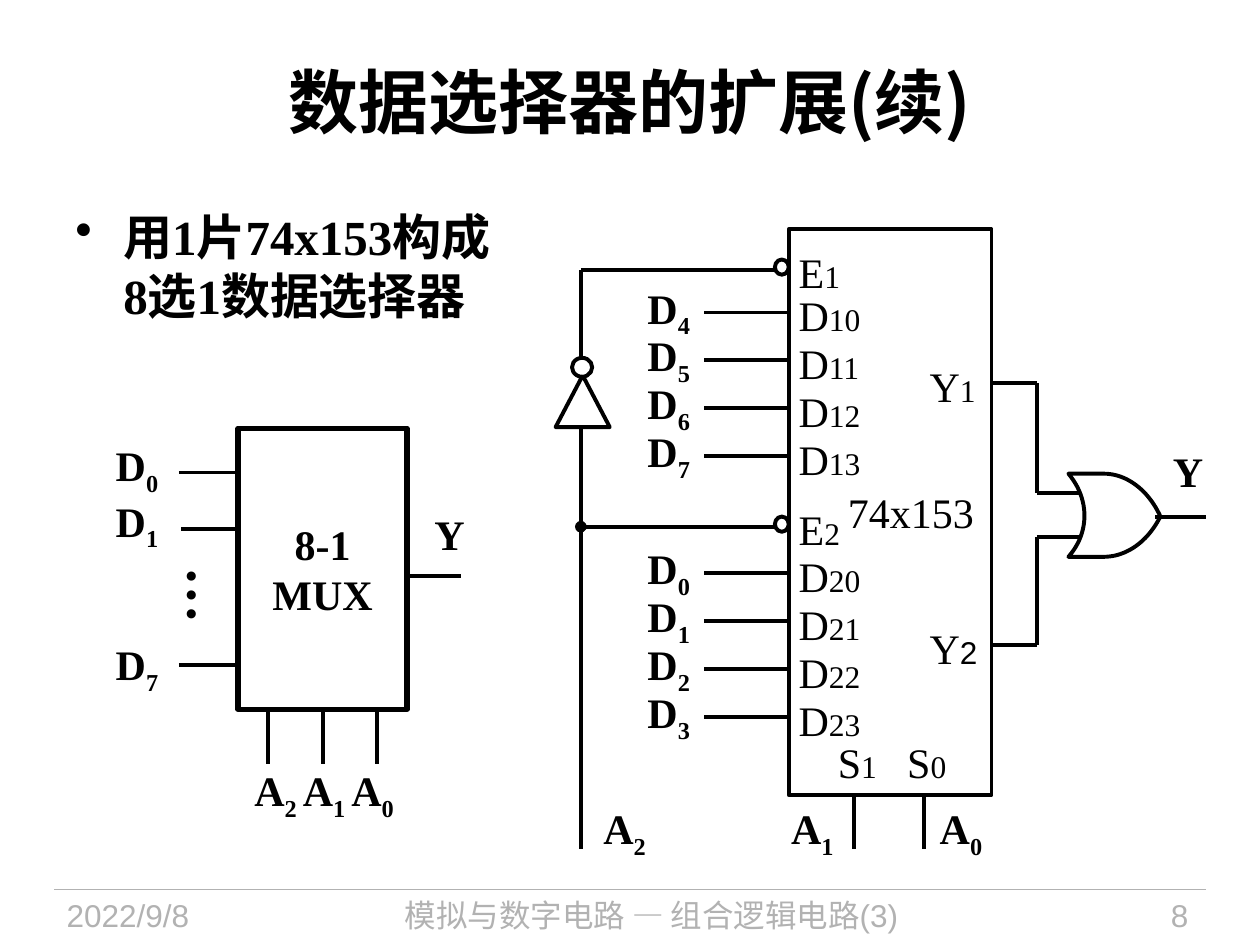
from typing import NamedTuple

from lxml import etree
from pptx import Presentation
from pptx.dml.color import RGBColor
from pptx.enum.shapes import MSO_CONNECTOR, MSO_SHAPE
from pptx.enum.text import MSO_ANCHOR, MSO_AUTO_SIZE, PP_ALIGN
from pptx.oxml.ns import qn
from pptx.util import Inches, Pt

BLACK = RGBColor(0x00, 0x00, 0x00)
WHITE = RGBColor(0xFF, 0xFF, 0xFF)
GRAY = RGBColor(0xB2, 0xB2, 0xB2)
SANS, SERIF, CJK = "Arial", "Times New Roman", "Noto Sans CJK SC"
LEFT, CENTER, RIGHT = PP_ALIGN.LEFT, PP_ALIGN.CENTER, PP_ALIGN.RIGHT
RECT, OVAL, TRIANGLE = MSO_SHAPE.RECTANGLE, MSO_SHAPE.OVAL, MSO_SHAPE.ISOSCELES_TRIANGLE
STRAIGHT = MSO_CONNECTOR.STRAIGHT
MIDDLE = MSO_ANCHOR.MIDDLE
FIT = MSO_AUTO_SIZE.SHAPE_TO_FIT_TEXT
BOTTOM_SIDE = 2
PITCH = 0.38


class Run(NamedTuple):
    text: str
    size: float = 24
    bold: bool = False
    font: str = SERIF
    color: RGBColor = BLACK
    subscript: bool = False


class Wire(NamedTuple):
    x1: float
    y1: float
    x2: float
    y2: float
    dot: bool = False


class Bank(NamedTuple):
    """Four data inputs of one half of the chip."""
    number: int
    enable_y: float
    first_y: float
    first_input: int


def add_runs(p, runs: list[Run]) -> None:
    for run in runs:
        r = p.add_run()
        r.text = run.text
        values = {"size": Pt(run.size), "bold": run.bold, "name": run.font}
        for name, value in values.items():
            setattr(r.font, name, value)
        r.font.color.rgb = run.color
        rPr = r._r.get_or_add_rPr()
        etree.SubElement(rPr, qn("a:ea")).set("typeface", CJK)
        if run.subscript:
            rPr.set("baseline", "-25000")


def add_text(s, x: float, y: float, w: float, h: float, runs: list[Run],
             align=LEFT, wrap: bool = False):
    box = s.shapes.add_textbox(Inches(x), Inches(y), Inches(w), Inches(h))
    tf = box.text_frame
    tf.word_wrap = wrap
    if not wrap:
        tf.auto_size = FIT
    tf.paragraphs[0].alignment = align
    add_runs(tf.paragraphs[0], runs)
    return box


def signal(base: str, index: int) -> list[Run]:
    """Bold outer signal name with a true subscript."""
    return [Run(base, bold=True), Run(str(index), bold=True, subscript=True)]


def pin(base: str, index: str, font: str = SERIF) -> list[Run]:
    """Pin name inside the chip, with a smaller index."""
    return [Run(base), Run(index, 18, font=font)]


def add_wire(s, wire: Wire, color: RGBColor = BLACK, width: float = 2.25):
    c = s.shapes.add_connector(STRAIGHT, *map(Inches, wire[:4]))
    c.line.color.rgb = color
    c.line.width = Pt(width)
    if wire.dot:
        etree.SubElement(c.line._get_or_add_ln(), qn("a:headEnd")).set("type", "oval")
    etree.SubElement(c._element.spPr, qn("a:effectLst"))
    return c


def outline(shape, fill: RGBColor | None = None, width: float = 2.25) -> None:
    shape.shadow.inherit = False
    if fill is None:
        shape.fill.background()
    else:
        shape.fill.solid()
        shape.fill.fore_color.rgb = fill
    shape.line.color.rgb = BLACK
    shape.line.width = Pt(width)


def add_block(s, kind, x: float, y: float, w: float, h: float,
              fill: RGBColor | None = None, width: float = 2.25):
    sp = s.shapes.add_shape(kind, Inches(x), Inches(y), Inches(w), Inches(h))
    outline(sp, fill, width)
    return sp


def bezier(p0, p1, p2, p3, steps: int = 24) -> list[tuple[float, float]]:
    points = []
    for i in range(steps + 1):
        t = i / steps
        weights = ((1 - t) ** 3, 3 * t * (1 - t) ** 2, 3 * t * t * (1 - t), t ** 3)
        points.append(tuple(sum(k * q[axis] for k, q in zip(weights, (p0, p1, p2, p3)))
                            for axis in (0, 1)))
    return points


def add_or_gate(s) -> None:
    top = bezier((8.76, 3.76), (8.95, 3.76), (9.12, 3.9), (9.21, 4.1))
    bottom = bezier((9.21, 4.1), (9.11, 4.3), (8.94, 4.42), (8.76, 4.42))
    back = bezier((8.48, 4.42), (8.65, 4.23), (8.65, 3.96), (8.48, 3.76))
    points = [(Inches(x), Inches(y)) for x, y in top + bottom + back]
    builder = s.shapes.build_freeform(*points[0])
    builder.add_line_segments(points[1:], close=True)
    outline(builder.convert_to_shape())


def add_heading(s) -> None:
    title = s.shapes.title
    place = {"left": 0.5, "top": 0.17, "width": 9, "height": 1.25}
    for name, value in place.items():
        setattr(title, name, Inches(value))
    title.text_frame.vertical_anchor = MIDDLE
    p = title.text_frame.paragraphs[0]
    p.alignment = CENTER
    add_runs(p, [Run("数据选择器的扩展", 40, True, SANS), Run("(续)", 40, True, CJK)])

    body = add_text(s, 0.5, 1.59, 3.59, 1.38,
                    [Run("用1片74x153构成8选1数据选择器", 28, True)], wrap=True)
    pPr = body.text_frame.paragraphs[0]._p.get_or_add_pPr()
    pPr.set("marL", str(Inches(0.38)))
    pPr.set("indent", str(-Inches(0.38)))
    etree.SubElement(pPr, qn("a:buChar")).set("char", "•")


def add_footer(s) -> None:
    add_wire(s, Wire(0.43, 7.06, 9.57, 7.06), GRAY, 0.75)
    for x, w, text, align in ((0.43, 1.88, "2022/9/8", LEFT),
                              (2.49, 5.36, "模拟与数字电路 — 组合逻辑电路(3)", CENTER),
                              (8.2, 1.33, "8", RIGHT)):
        add_text(s, x, 7.06, w, 0.44, [Run(text, 18, font=SANS, color=GRAY)], align, True)


def add_mux(s) -> None:
    mux = add_block(s, RECT, 1.89, 3.4, 1.34, 2.23, width=3)
    tf = mux.text_frame
    tf.word_wrap = False
    tf.vertical_anchor = MIDDLE
    for p, text in zip((tf.paragraphs[0], tf.add_paragraph()), ("8-1", "MUX")):
        p.alignment = CENTER
        add_runs(p, [Run(text, bold=True)])
    for index, label_y, x, y in ((0, 3.44, 1.42, 3.75), (1, 3.88, 1.44, 4.2),
                                 (7, 5.02, 1.42, 5.28)):
        add_text(s, 0.82, label_y, 0.55, 0.5, signal("D", index))
        add_wire(s, Wire(x, y, 1.89, y))
    add_text(s, 1.05, 4.41, 0.65, 0.63, [Run("…", 32, True)]).rotation = 270
    add_wire(s, Wire(3.23, 4.57, 3.66, 4.57))
    add_text(s, 3.35, 3.99, 0.44, 0.5, [Run("Y", bold=True)])
    selects = [add_wire(s, Wire(x, 5.63, x, 6.06)) for x in (2.13, 2.56, 2.99)]
    selects[1].begin_connect(mux, BOTTOM_SIDE)
    address = [Run(text, bold=True, subscript=text != "A")
               for text in ("A", "2 ", "A", "1 ", "A", "0")]
    add_text(s, 1.92, 6.02, 1.37, 0.5, address)


def add_bank(s, bank: Bank) -> None:
    add_wire(s, Wire(4.61, bank.enable_y, 5.55, bank.enable_y, dot=bank.number == 2))
    add_wire(s, Wire(5.55, bank.enable_y, 6.14, bank.enable_y))
    add_block(s, OVAL, 6.15, bank.enable_y - 0.08, 0.11, 0.12, WHITE)
    add_text(s, 6.24, bank.enable_y - 0.23, 0.53, 0.5, pin("E", str(bank.number)))
    for i in range(4):
        y = bank.first_y + PITCH * i
        add_wire(s, Wire(5.59, y, 6.26, y))
        add_text(s, 6.24, y - 0.23, 0.69, 0.5, pin("D", f"{bank.number}{i}"))
        add_text(s, 5.04, y - 0.29, 0.55, 0.5, signal("D", bank.first_input + i))


def add_chip(s) -> None:
    add_block(s, RECT, 6.26, 1.82, 1.61, 4.49)
    add_wire(s, Wire(4.61, 2.14, 4.61, 6.74))
    for bank in (Bank(1, 2.14, 2.48, 4), Bank(2, 4.18, 4.55, 0)):
        add_bank(s, bank)
    add_block(s, TRIANGLE, 4.41, 2.98, 0.43, 0.41, WHITE)
    add_block(s, OVAL, 4.54, 2.84, 0.16, 0.15, WHITE)
    add_text(s, 6.63, 3.81, 1.2, 0.5, [Run("74x153")], CENTER)
    for index, x, label_x in ((1, 6.78, 6.18), (0, 7.33, 7.36)):
        add_wire(s, Wire(x, 6.31, x, 6.74))
        add_text(s, x - 0.23, 5.8, 0.51, 0.5, pin("S", str(index)), CENTER)
        add_text(s, label_x, 6.32, 0.55, 0.5, signal("A", index))
    add_text(s, 4.69, 6.32, 0.55, 0.5, signal("A", 2))
    for index, font, y, gate_y in (("1", SERIF, 3.04, 3.91), ("2", SANS, 5.12, 4.26)):
        add_text(s, 7.28, y - 0.23, 0.58, 0.5, pin("Y", index, font))
        for wire in (Wire(7.87, y, 8.23, y), Wire(8.23, y, 8.23, gate_y),
                     Wire(8.23, gate_y, 8.58, gate_y)):
            add_wire(s, wire)
    add_or_gate(s)
    add_wire(s, Wire(9.17, 4.1, 9.57, 4.1))
    add_text(s, 9.21, 3.49, 0.44, 0.5, [Run("Y", bold=True)])


def main() -> None:
    prs = Presentation()
    prs.slide_width, prs.slide_height = Inches(10), Inches(7.5)
    s = prs.slides.add_slide(prs.slide_layouts[5])
    for draw in (add_footer, add_heading, add_chip, add_mux):
        draw(s)
    prs.save("out.pptx")


if __name__ == "__main__":
    main()
